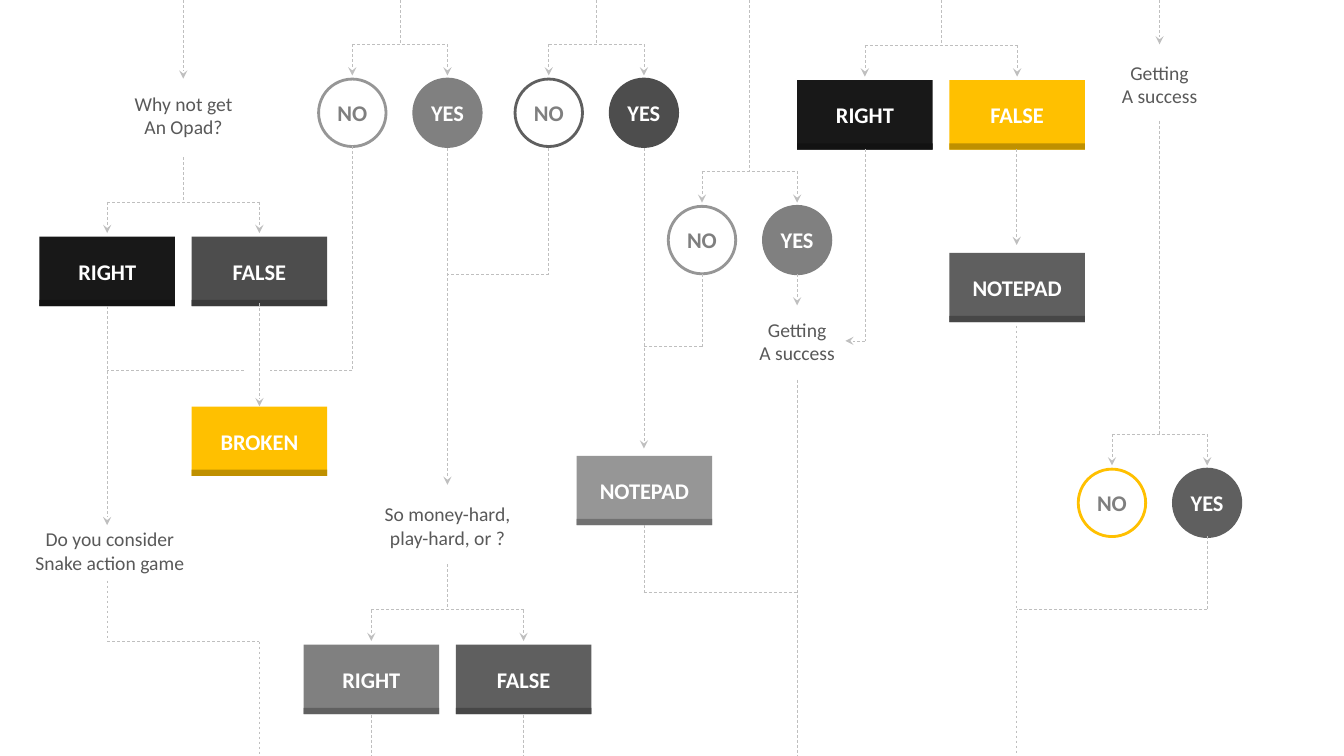
from dataclasses import dataclass

from lxml.etree import SubElement
from pptx import Presentation
from pptx.dml.color import RGBColor
from pptx.enum.dml import MSO_LINE
from pptx.enum.shapes import MSO_CONNECTOR, MSO_SHAPE
from pptx.enum.text import MSO_ANCHOR, PP_ALIGN
from pptx.oxml.ns import qn
from pptx.util import Pt


@dataclass(frozen=True)
class Theme:
    font: str = "Calibri"
    answer_size: float = 16
    question_size: float = 14
    line: str = "BFBFBF"
    question: str = "595959"
    open_answer: str = "7F7F7F"
    white: str = "FFFFFF"
    black: str = "181818"
    charcoal: str = "4D4D4D"
    slate: str = "5F5F5F"
    gray: str = "808080"
    silver: str = "969696"
    gold: str = "FFC000"


THEME = Theme()
SLIDE_W, SLIDE_H = 960.5, 540
CIRCLE = 48.2
BOX_W, BOX_H, EDGE_H = 96.8, 49.6, 4.5
CIRCLE_REACH, BOX_REACH = 34, 54.4  # fork centre to each answer
ARROW_DROP, ANSWER_DROP = 22.3, 24.9  # fork bar to arrow tip and to answer
QUESTION_W, QUESTION_H = 121, 41

Point = tuple[float, float]


@dataclass(frozen=True)
class Answer:
    label: str
    color: str
    x: float = 0  # centre
    top: float = 0


@dataclass(frozen=True)
class Fork:
    x: float
    stem_top: float
    bar: float
    left: Answer
    right: Answer


@dataclass(frozen=True)
class Question:
    x: float
    top: float
    lines: tuple[str, str]


@dataclass(frozen=True)
class Route:
    points: tuple[Point, ...]
    arrow: bool = False


FORKS = (
    Fork(285.8, 0, 31.6, Answer("NO", THEME.silver), Answer("YES", THEME.gray)),
    Fork(426.2, 0, 31.6, Answer("NO", THEME.slate), Answer("YES", THEME.charcoal)),
    Fork(535.7, 0, 122.5, Answer("NO", THEME.silver), Answer("YES", THEME.gray)),
    Fork(828.7, 86.4, 310.2, Answer("NO", THEME.gold), Answer("YES", THEME.slate)),
    Fork(131, 112.5, 144.2, Answer("RIGHT", THEME.black), Answer("FALSE", THEME.charcoal)),
    Fork(672.5, 0, 32.4, Answer("RIGHT", THEME.black), Answer("FALSE", THEME.gold)),
    Fork(319.8, 403.2, 435.6, Answer("RIGHT", THEME.gray), Answer("FALSE", THEME.slate)),
)

OUTCOMES = (
    Answer("NOTEPAD", THEME.slate, 726.9, 180.6),
    Answer("NOTEPAD", THEME.silver, 460.5, 325.6),
    Answer("BROKEN", THEME.gold, 185.4, 290.4),
)

QUESTIONS = (
    Question(131.2, 61.9, ("Why not get", "An Opad?")),
    Question(569.7, 223.2, ("Getting", "A success")),
    Question(828.7, 39.6, ("Getting", "A success")),
    Question(78.5, 373, ("Do you consider", "Snake action game")),
    Question(319.8, 355, ("So money-hard,", "play-hard, or ?")),
)

ROUTES = (
    # Into the top questions
    Route(((131, 0), (131, 56.2)), True),
    Route(((828.7, 0), (828.7, 31.7)), True),
    # Left side
    Route(((251.8, 104.4), (251.8, 264.2), (193, 264.2))),
    Route(((174.2, 264.2), (76.6, 264.2))),
    Route(((185.4, 216.7), (185.4, 290.2)), True),
    Route(((76.6, 218.9), (76.6, 375.1)), True),
    Route(((76.6, 414.7), (76.6, 458.3), (185.4, 458.3), (185.4, SLIDE_H))),
    # Centre
    Route(((319.8, 105.8), (319.8, 346.3)), True),
    Route(((392.2, 105.8), (392.2, 195.8), (319.8, 195.8))),
    Route(((460.2, 105.8), (460.2, 320.4)), True),
    Route(((501.7, 195.8), (501.7, 247.7), (460.2, 247.7))),
    Route(((460.2, 375.1), (460.2, 423.4), (569.7, 423.4))),
    Route(((569.7, 195.8), (569.7, 218.2)), True),
    Route(((569.7, 271.4), (569.7, SLIDE_H))),
    Route(((265.4, 510.5), (265.4, SLIDE_H))),
    Route(((374.2, 510.5), (374.2, SLIDE_H))),
    # Right side
    Route(((618.1, 106.6), (618.1, 243.5), (604.1, 243.5)), True),
    Route(((726.6, 106.6), (726.6, 175)), True),
    Route(((726.6, 232.6), (726.6, SLIDE_H))),
    Route(((862.7, 383), (862.7, 435.4), (726.6, 435.4))),
)


def rgb(color: str) -> RGBColor:
    return RGBColor.from_string(color)


def darker(color: str) -> str:
    """Three quarters of each channel, for the lower edge of a box."""
    return "".join(f"{int(int(color[i:i + 2], 16) * 0.75 + 0.5):02X}" for i in (0, 2, 4))


def write(holder, lines: tuple[str, ...], size: float, color: str, bold: bool) -> None:
    frame = holder.text_frame
    frame.word_wrap = False
    frame.vertical_anchor = MSO_ANCHOR.MIDDLE
    frame.margin_left = frame.margin_right = frame.margin_top = frame.margin_bottom = 0
    for i, line in enumerate(lines):
        paragraph = frame.add_paragraph() if i else frame.paragraphs[0]
        paragraph.alignment = PP_ALIGN.CENTER
        run = paragraph.add_run()
        run.text = line
        run.font.name, run.font.size, run.font.bold = THEME.font, Pt(size), bold
        run.font.color.rgb = rgb(color)


def draw_leg(slide, start: Point, end: Point, arrow: bool = False) -> None:
    leg = slide.shapes.add_connector(
        MSO_CONNECTOR.STRAIGHT, *(Pt(value) for value in (*start, *end)))
    leg.line.color.rgb = rgb(THEME.line)
    leg.line.width = Pt(0.5)
    leg.line.dash_style = MSO_LINE.DASH
    if arrow:
        SubElement(leg.line._get_or_add_ln(), qn("a:tailEnd"), type="stealth")
    SubElement(leg._element.spPr, qn("a:effectLst"))


def draw_route(slide, route: Route) -> None:
    last = len(route.points) - 2
    for i, (start, end) in enumerate(zip(route.points, route.points[1:])):
        draw_leg(slide, start, end, route.arrow and i == last)


def add_flat(slide, kind: MSO_SHAPE, left: float, top: float, width: float, height: float):
    flat = slide.shapes.add_shape(kind, Pt(left), Pt(top), Pt(width), Pt(height))
    flat.shadow.inherit = False
    return flat


def draw_circle(slide, answer: Answer, x: float, top: float) -> None:
    circle = add_flat(slide, MSO_SHAPE.OVAL, x - CIRCLE / 2, top, CIRCLE, CIRCLE)
    circle.line.color.rgb = rgb(answer.color)
    circle.line.width = Pt(2)
    if answer.label == "NO":
        circle.fill.background()
        text_color = THEME.open_answer
    else:
        circle.fill.solid()
        circle.fill.fore_color.rgb = rgb(answer.color)
        text_color = THEME.white
    write(circle, (answer.label,), THEME.answer_size, text_color, True)


def draw_box(slide, answer: Answer, x: float, top: float) -> None:
    left = x - BOX_W / 2
    face = add_flat(slide, MSO_SHAPE.RECTANGLE, left, top, BOX_W, BOX_H)
    edge = add_flat(slide, MSO_SHAPE.RECTANGLE, left, top + BOX_H - EDGE_H, BOX_W, EDGE_H)
    for part, color in ((face, answer.color), (edge, darker(answer.color))):
        part.fill.solid()
        part.fill.fore_color.rgb = rgb(color)
        part.line.fill.background()
    write(face, (answer.label,), THEME.answer_size, THEME.white, True)


def draw_fork(slide, fork: Fork) -> None:
    round_answers = fork.left.label == "NO"
    reach = CIRCLE_REACH if round_answers else BOX_REACH
    draw_answer = draw_circle if round_answers else draw_box
    draw_leg(slide, (fork.x, fork.stem_top), (fork.x, fork.bar))
    draw_leg(slide, (fork.x - reach, fork.bar), (fork.x + reach, fork.bar))
    for answer, x in ((fork.left, fork.x - reach), (fork.right, fork.x + reach)):
        draw_leg(slide, (x, fork.bar), (x, fork.bar + ARROW_DROP), True)
        draw_answer(slide, answer, x, fork.bar + ANSWER_DROP)


def draw_question(slide, question: Question) -> None:
    holder = slide.shapes.add_textbox(
        Pt(question.x - QUESTION_W / 2), Pt(question.top), Pt(QUESTION_W), Pt(QUESTION_H))
    write(holder, question.lines, THEME.question_size, THEME.question, False)


def main() -> None:
    deck = Presentation()
    deck.slide_width, deck.slide_height = Pt(SLIDE_W), Pt(SLIDE_H)
    slide = deck.slides.add_slide(deck.slide_layouts[6])
    for fork in FORKS:
        draw_fork(slide, fork)
    for outcome in OUTCOMES:
        draw_box(slide, outcome, outcome.x, outcome.top)
    for question in QUESTIONS:
        draw_question(slide, question)
    for route in ROUTES:
        draw_route(slide, route)
    deck.save("out.pptx")


if __name__ == "__main__":
    main()
